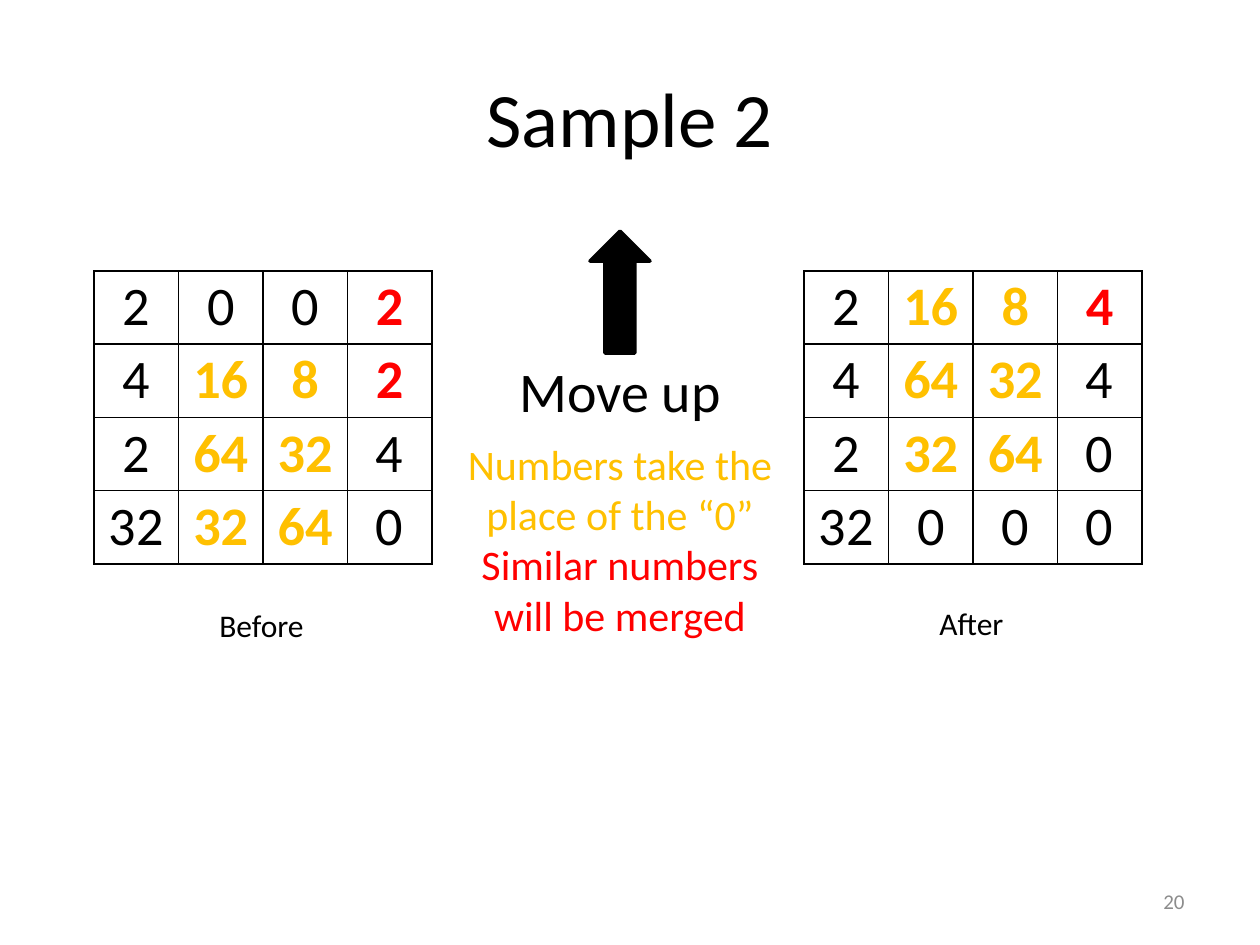
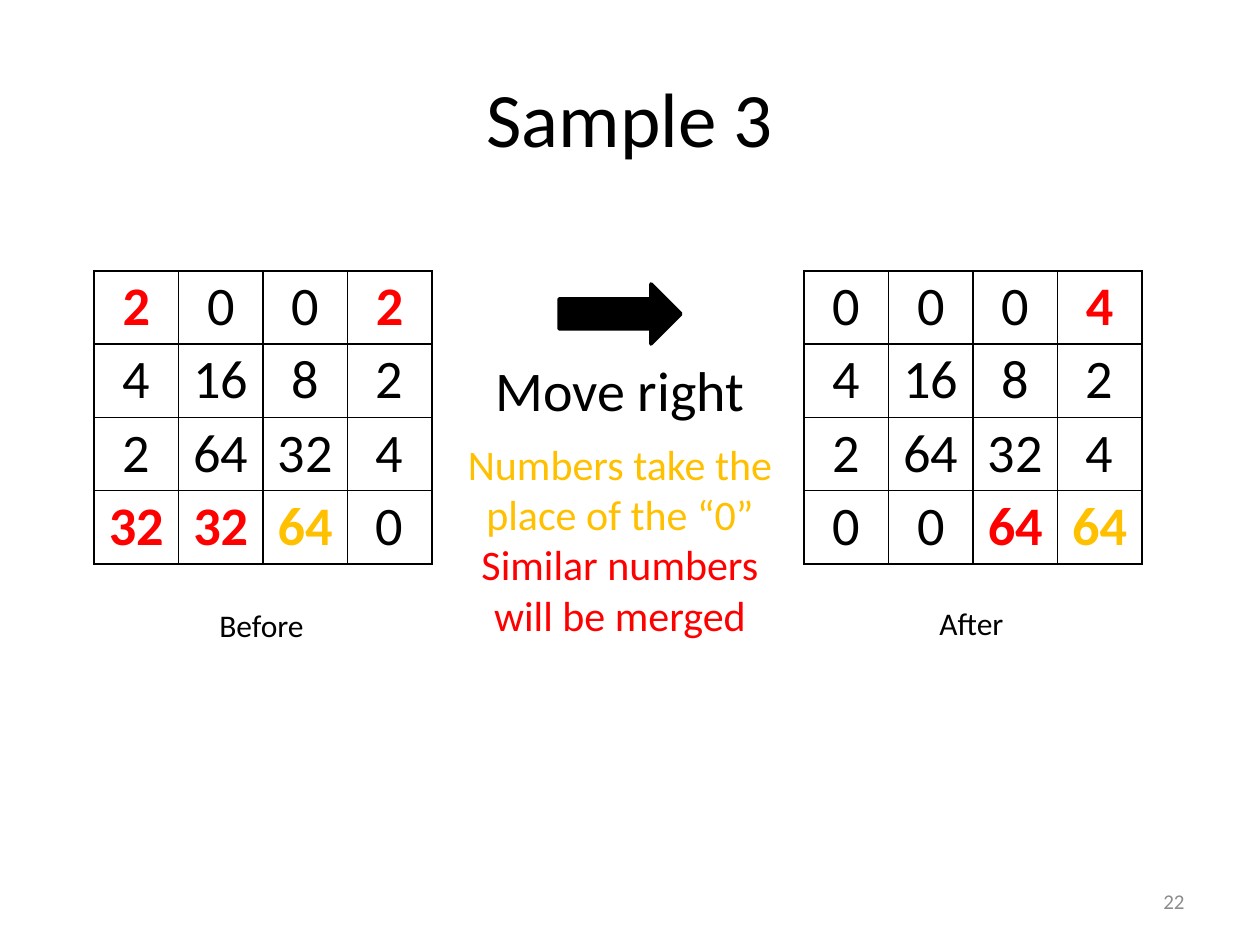
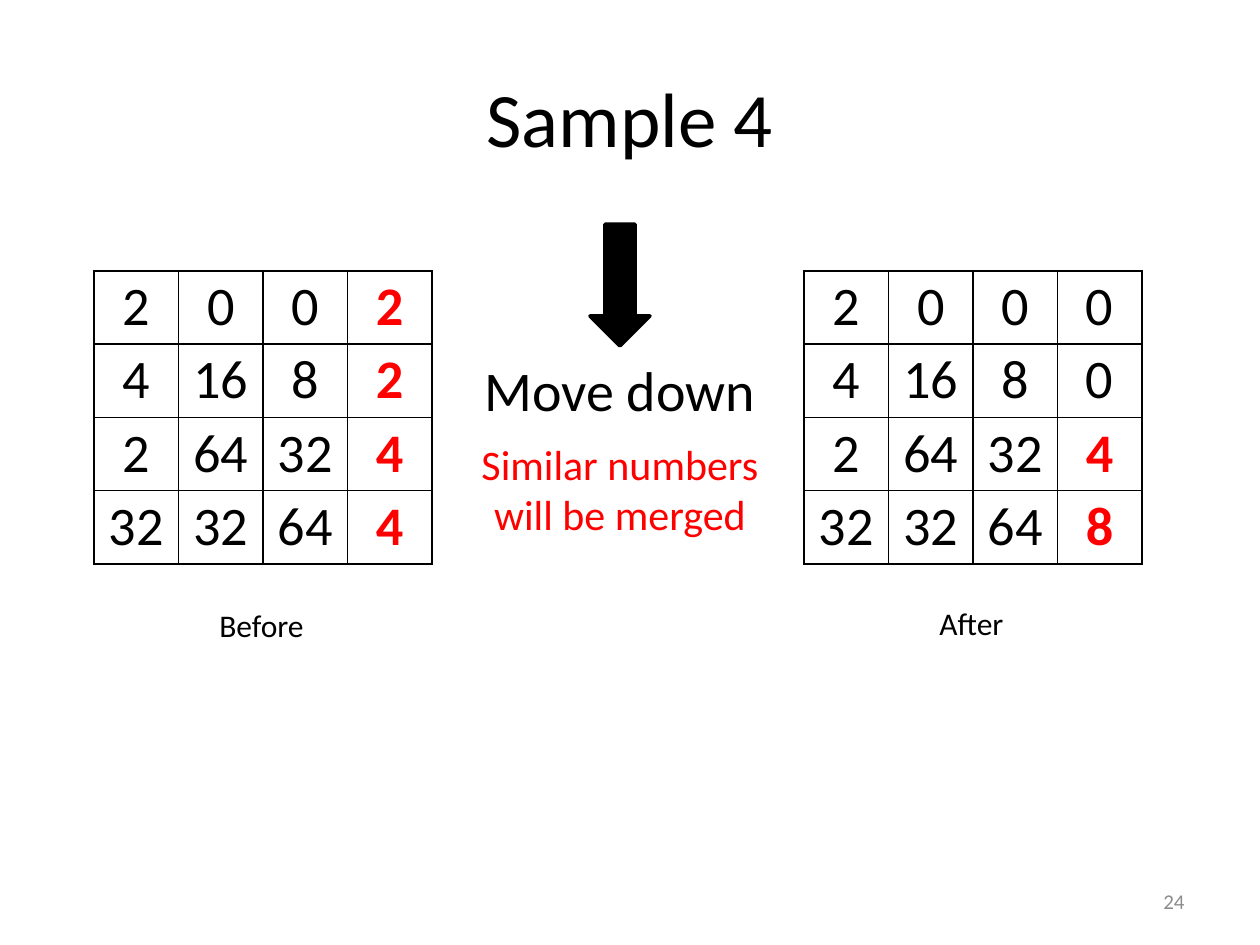
from collections import namedtuple
from dataclasses import dataclass

from lxml.etree import SubElement
from pptx import Presentation
from pptx.dml.color import RGBColor
from pptx.enum.shapes import MSO_SHAPE
from pptx.enum.text import MSO_ANCHOR, MSO_AUTO_SIZE, PP_ALIGN
from pptx.oxml.ns import qn
from pptx.util import Emu, Pt

EMU_PER_PX = 914400 / 126
TITLE_ONLY = 5

Box = namedtuple("Box", "left top width height")
Sample = namedtuple("Sample", "title number move rotation arrow_top label_top notes before after")


@dataclass(frozen=True)
class Theme:
    """Colours, font and type sizes shared by all slides."""
    font: str = "Calibri"
    ink: str = "000000"
    moved: str = "FFC000"
    merged: str = "FF0000"
    muted: str = "8C8C8C"
    title_size: int = 44
    move_size: int = 32
    tile_size: int = 31
    note_size: int = 24
    caption_size: int = 18
    number_size: int = 12
    border_width: int = 1
    arrow_line: int = 2


THEME = Theme()
SLIDE = Box(0, 0, 1260, 945)
TITLE = Box(63, 38, 1134, 157)
BEFORE = Box(94, 271, 338, 293)
AFTER = Box(804, 271, 338, 293)
CENTRE = Box(451, 254, 338, 395)
NUMBER = Box(903, 876, 294, 50)

MOVED_NOTE = ("Numbers take the place of the “0”", THEME.moved)
MERGED_NOTE = ("Similar numbers will be merged", THEME.merged)
TILE_COLOURS = {"+": THEME.moved, "*": THEME.merged}

SAMPLES = [
    Sample("Sample 2", "20", "Move up", 270, 8, 96, [MOVED_NOTE, MERGED_NOTE],
           ["2 0 0 2*", "4 16+ 8+ 2*", "2 64+ 32+ 4", "32 32+ 64+ 0"],
           ["2 16+ 8+ 4*", "4 64+ 32+ 4", "2 32+ 64+ 0", "32 0 0 0"]),
    Sample("Sample 3", "22", "Move right", 0, 30, 95, [MOVED_NOTE, MERGED_NOTE],
           ["2* 0 0 2*", "4 16 8 2", "2 64 32 4", "32* 32* 64+ 0"],
           ["0 0 0 4*", "4 16 8 2", "2 64 32 4", "0 0 64* 64+"]),
    Sample("Sample 4", "24", "Move down", 90, 1, 95, [MERGED_NOTE],
           ["2 0 0 2*", "4 16 8 2*", "2 64 32 4*", "32 32 64 4*"],
           ["2 0 0 0", "4 16 8 0", "2 64 32 4*", "32 32 64 8*"]),
]


def px(length):
    """Turn pixels into EMU."""
    return Emu(round(length * EMU_PER_PX))


def emu_box(box):
    """Return the four lengths of a box in EMU."""
    return [px(length) for length in box]


def style(paragraph, size, colour, align=PP_ALIGN.CENTER, bold=False):
    """Align a paragraph and format its runs."""
    paragraph.alignment = align
    for run in paragraph.runs:
        run.font.name = THEME.font
        run.font.size = Pt(size)
        run.font.bold = bold
        run.font.color.rgb = RGBColor.from_string(colour)


def add_text(slide, box, lines, size, align=PP_ALIGN.CENTER, grow=True):
    """Add a wrapping text box with one paragraph for each text and colour."""
    text_frame = slide.shapes.add_textbox(*emu_box(box)).text_frame
    text_frame.word_wrap = True
    text_frame.text = "\n".join(text for text, _ in lines)
    for paragraph, (_, colour) in zip(text_frame.paragraphs, lines):
        style(paragraph, size, colour, align)
    if grow:
        text_frame.auto_size = MSO_AUTO_SIZE.SHAPE_TO_FIT_TEXT
    else:
        text_frame.vertical_anchor = MSO_ANCHOR.MIDDLE


def add_title(slide, box, text):
    """Place and format the title placeholder."""
    title = slide.shapes.title
    title.left, title.top, title.width, title.height = emu_box(box)
    title.text_frame.text = text
    title.text_frame.vertical_anchor = MSO_ANCHOR.MIDDLE
    style(title.text_frame.paragraphs[0], THEME.title_size, THEME.ink)


def set_borders(cell):
    """Draw a solid line on each side of a cell."""
    properties = cell._tc.get_or_add_tcPr()
    for side in ("lnL", "lnR", "lnT", "lnB"):
        line = SubElement(properties, qn(f"a:{side}"), w=str(Pt(THEME.border_width)))
        fill = SubElement(line, qn("a:solidFill"))
        SubElement(fill, qn("a:srgbClr"), val=THEME.ink)


def fill_tile(cell, tile):
    """Write one number, coloured by the mark that follows it."""
    colour = TILE_COLOURS.get(tile[-1], THEME.ink)
    cell.margin_left = cell.margin_right = px(6)
    cell.margin_top = cell.margin_bottom = px(3)
    cell.text_frame.text = tile.rstrip("+*")
    style(cell.text_frame.paragraphs[0], THEME.tile_size, colour, bold=colour != THEME.ink)
    set_borders(cell)
    cell.fill.background()


def add_board(slide, box, rows, caption, caption_gap):
    """Add a board of numbers with its caption below."""
    grid = [row.split() for row in rows]
    table = slide.shapes.add_table(len(grid), len(grid[0]), *emu_box(box)).table
    table.first_row = table.horz_banding = False
    for row_index, tiles in enumerate(grid):
        for column_index, tile in enumerate(tiles):
            fill_tile(table.cell(row_index, column_index), tile)
    caption_box = Box(box.left + 24, box.top + box.height + caption_gap, 287, 50)
    add_text(slide, caption_box, [(caption, THEME.ink)], THEME.caption_size)


def add_move(slide, box, sample):
    """Add the arrow, the name of the move and the notes on it."""
    label_box = Box(box.left + 18, box.top + sample.label_top, 302, 81)
    add_text(slide, label_box, [(sample.move, THEME.ink)], THEME.move_size)

    arrow_box = Box(box.left + 108, box.top + sample.arrow_top, 122, 60)
    arrow = slide.shapes.add_shape(MSO_SHAPE.RIGHT_ARROW, *emu_box(arrow_box))
    arrow.rotation = sample.rotation
    arrow.shadow.inherit = False
    arrow.fill.solid()
    arrow.fill.fore_color.rgb = RGBColor.from_string(THEME.ink)
    arrow.line.color.rgb = RGBColor.from_string(THEME.ink)
    arrow.line.width = Pt(THEME.arrow_line)

    notes_box = Box(box.left, box.top + 178, box.width, 13 + 102 * len(sample.notes))
    add_text(slide, notes_box, sample.notes, THEME.note_size)


def add_sample_slide(presentation, sample):
    """Add a slide that shows the boards before and after one move."""
    slide = presentation.slides.add_slide(presentation.slide_layouts[TITLE_ONLY])
    add_title(slide, TITLE, sample.title)
    add_board(slide, BEFORE, sample.before, "Before", 36)
    add_move(slide, CENTRE, sample)
    add_board(slide, AFTER, sample.after, "After", 34)
    add_text(slide, NUMBER, [(sample.number, THEME.muted)], THEME.number_size,
             PP_ALIGN.RIGHT, grow=False)


def main():
    """Build and save the presentation."""
    presentation = Presentation()
    presentation.slide_width = px(SLIDE.width)
    presentation.slide_height = px(SLIDE.height)
    for sample in SAMPLES:
        add_sample_slide(presentation, sample)
    presentation.save("out.pptx")


if __name__ == "__main__":
    main()
